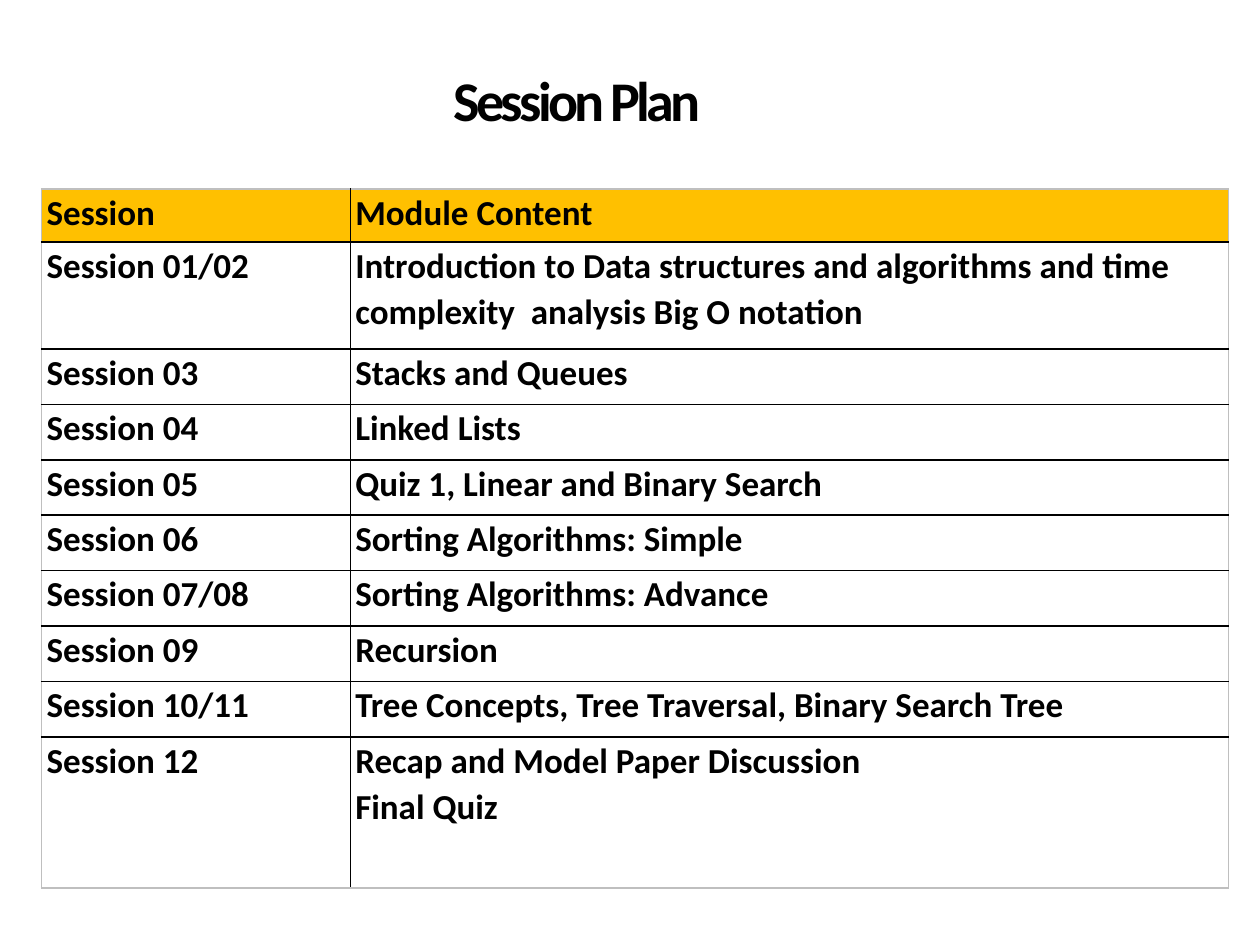
"""Build the session plan slide: a title above a two-column table."""
from lxml.etree import SubElement
from pptx import Presentation
from pptx.dml.color import RGBColor as Color
from pptx.enum.text import MSO_ANCHOR as Anchor, MSO_AUTO_SIZE as AutoSize, PP_ALIGN as Align
from pptx.oxml import parse_xml
from pptx.oxml.ns import nsdecls, qn
from pptx.util import Inches, Pt

COLORS = {"ink": "000000", "header": "FFC000", "frame": "BFBFBF"}
FONT = "Calibri"
WIDTH, HEIGHT = 10, 7.5
COLUMNS = [2.45, 6.97]
ROW = 0.44
SPECIAL_ROWS = {0: 0.42, 1: 0.85, 9: 1.2}
PLAN = [
    ("Session", "Module Content"),
    ("Session 01/02", "Introduction to Data structures and algorithms and time "
                      "complexity  analysis Big O notation"),
    ("Session 03", "Stacks and Queues"),
    ("Session 04", "Linked Lists"),
    ("Session 05", "Quiz 1, Linear and Binary Search"),
    ("Session 06", "Sorting Algorithms: Simple"),
    ("Session 07/08", "Sorting Algorithms: Advance"),
    ("Session 09", "Recursion"),
    ("Session 10/11", "Tree Concepts, Tree Traversal, Binary Search Tree"),
    ("Session 12", "Recap and Model Paper Discussion\nFinal Quiz"),
]


def format_span(span, size):
    """Give a run the bold black slide font."""
    span.font.name = FONT
    span.font.size = Pt(size)
    span.font.bold = True
    span.font.color.rgb = Color.from_string(COLORS["ink"])


def add_title(page, text):
    """Place and format the title placeholder."""
    box = page.shapes.title
    box.left, box.top = Inches(0.36 * WIDTH), Inches(0.068 * HEIGHT)
    box.width, box.height = Inches(3.23), Inches(0.55)
    frame = box.text_frame
    frame.text = text
    frame.margin_left = frame.margin_right = frame.margin_bottom = 0
    frame.margin_top = Inches(0.01)
    frame.vertical_anchor = Anchor.TOP
    frame.auto_size = AutoSize.SHAPE_TO_FIT_TEXT
    para = frame.paragraphs[0]
    para.alignment = Align.LEFT
    para.space_before = Pt(0.9)
    span = para.runs[0]
    format_span(span, 32)
    span.font._element.set("spc", "-210")


def set_borders(cell, edges):
    """Draw each side of a cell in the colour given for it."""
    properties = cell._tc.get_or_add_tcPr()
    for index, (side, color) in enumerate(edges.items()):
        line = parse_xml(f'<a:ln{side} w="12700" {nsdecls("a")}/>')
        fill = SubElement(line, qn("a:solidFill"))
        SubElement(fill, qn("a:srgbClr"), val=COLORS[color])
        properties.insert(index, line)


def fill_cell(cell, text, header):
    """Write a cell's text and set its margins and fill."""
    cell.margin_left = cell.margin_right = Inches(0.04)
    cell.margin_top = cell.margin_bottom = 0
    cell.text_frame.text = text
    for para in cell.text_frame.paragraphs:
        para.line_spacing = 1.07
        format_span(para.runs[0], 20)
    if header:
        cell.fill.solid()
        cell.fill.fore_color.rgb = Color.from_string(COLORS["header"])
    else:
        cell.fill.background()


def add_plan(page):
    """Add the session table with black rules and a grey frame."""
    heights = [SPECIAL_ROWS.get(index, ROW) for index in range(len(PLAN))]
    table = page.shapes.add_table(
        len(PLAN), len(COLUMNS), Inches(0.33), Inches(0.2 * HEIGHT),
        Inches(sum(COLUMNS)), Inches(sum(heights))).table
    table.first_row = table.horz_banding = False
    for column, width in zip(table.columns, COLUMNS):
        column.width = Inches(width)
    for r, (height, texts) in enumerate(zip(heights, PLAN)):
        table.rows[r].height = Inches(height)
        for c, text in enumerate(texts):
            cell = table.cell(r, c)
            fill_cell(cell, text, header=r == 0)
            outer = {"L": c == 0, "R": c == len(COLUMNS) - 1,
                     "T": r == 0, "B": r == len(PLAN) - 1}
            set_borders(cell, {side: "frame" if edge else "ink"
                               for side, edge in outer.items()})


def main():
    """Build and save the deck."""
    deck = Presentation()
    deck.slide_width, deck.slide_height = Inches(WIDTH), Inches(HEIGHT)
    page = deck.slides.add_slide(deck.slide_layouts[5])
    add_title(page, "Session Plan")
    add_plan(page)
    deck.save("out.pptx")


main()
